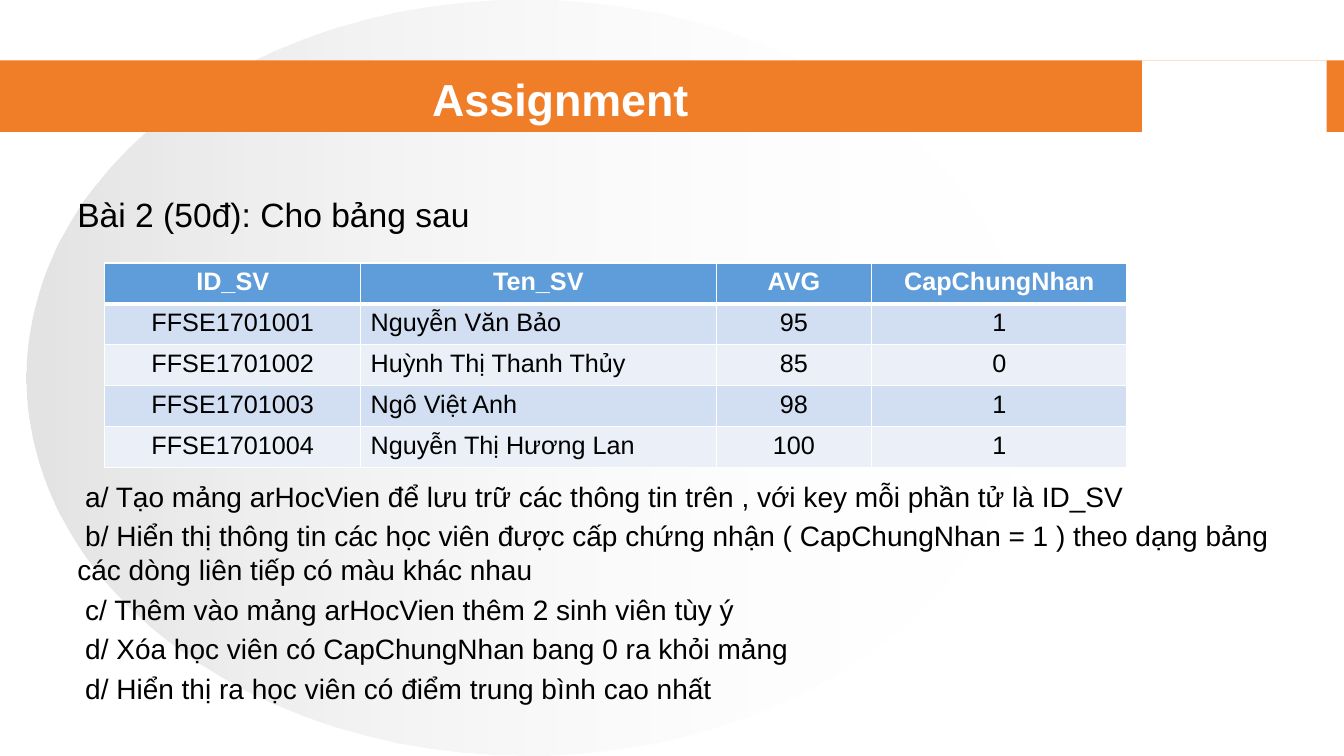
"""Builds the assignment slide with a student table and its tasks."""
from dataclasses import dataclass

from lxml import etree
from pptx import Presentation
from pptx.dml.color import RGBColor
from pptx.enum.shapes import MSO_SHAPE
from pptx.enum.text import MSO_ANCHOR, MSO_AUTO_SIZE, PP_ALIGN
from pptx.oxml.ns import qn
from pptx.util import Pt

CENTER, LEFT = PP_ALIGN.CENTER, PP_ALIGN.LEFT
MIDDLE, NO_FIT = MSO_ANCHOR.MIDDLE, MSO_AUTO_SIZE.NONE
OVAL, RECT = MSO_SHAPE.OVAL, MSO_SHAPE.RECTANGLE


@dataclass(frozen=True)
class Theme:
    """Colours, font and type sizes of the slide."""
    font: str = "Arial"
    white: str = "FFFFFF"
    black: str = "000000"
    grey: str = "C0C0C0"
    orange: str = "F07D27"
    header: str = "5E9CDA"
    bands: tuple = ("D2DEF1", "EAEFF8")
    title: int = 32
    intro: int = 24
    task: int = 20
    cell: int = 18


T = Theme()


def add_run(p, text, size, color, bold=False):
    """Adds one formatted run to a paragraph."""
    r = p.add_run()
    r.text = text
    r.font.name = T.font
    r.font.size = Pt(size)
    r.font.bold = bold
    r.font.color.rgb = RGBColor.from_string(color)


def set_borders(cell, bottom):
    """Draws white cell borders with the given bottom width."""
    tc_pr = cell._tc.get_or_add_tcPr()
    for i, (side, width) in enumerate((("L", 1), ("R", 1), ("T", 1), ("B", bottom))):
        ln = etree.Element(qn(f"a:ln{side}"), w=str(Pt(width)))
        fill = etree.SubElement(ln, qn("a:solidFill"))
        etree.SubElement(fill, qn("a:srgbClr"), val=T.white)
        tc_pr.insert(i, ln)


prs = Presentation()
prs.slide_width, prs.slide_height = Pt(960), Pt(540)
s = prs.slides.add_slide(prs.slide_layouts[5])

disc = s.shapes.add_shape(OVAL, Pt(18.7), Pt(0), Pt(714.2), Pt(540))
disc.shadow.inherit = False
disc.line.fill.background()
disc.fill.gradient()
disc.fill.gradient_angle = 0
for stop, color, position in zip(disc.fill.gradient_stops, (T.grey, T.white), (0, 1)):
    stop.color.rgb = RGBColor.from_string(color)
    stop.position = position
for clr, alpha in zip(disc.element.spPr.iter(qn("a:srgbClr")), (44000, 0)):
    etree.SubElement(clr, qn("a:alpha"), val=str(alpha))

for x, w, color in ((0, 960, T.orange), (815.8, 131.8, T.white)):
    band = s.shapes.add_shape(RECT, Pt(x), Pt(43.2), Pt(w), Pt(51.1))
    band.shadow.inherit = False
    band.fill.solid()
    band.fill.fore_color.rgb = RGBColor.from_string(color)
    band.line.fill.background()

title = s.shapes.title
title.element.getparent().append(title.element)
title.left, title.top, title.width, title.height = Pt(49), Pt(48.2), Pt(702.7), Pt(44.6)
tf = title.text_frame
tf.auto_size = NO_FIT
tf.vertical_anchor = MIDDLE
p = tf.paragraphs[0]
p.alignment = CENTER
add_run(p, "Assignment", T.title, T.white, True)

intro = s.shapes.add_textbox(Pt(48.2), Pt(134.7), Pt(868.3), Pt(36))
intro.text_frame.word_wrap = True
add_run(intro.text_frame.paragraphs[0], "Bài 2 (50đ): Cho bảng sau", T.intro, T.black)

rows = [
    ("ID_SV", "Ten_SV", "AVG", "CapChungNhan"),
    ("FFSE1701001", "Nguyễn Văn Bảo", "95", "1"),
    ("FFSE1701002", "Huỳnh Thị Thanh Thủy", "85", "0"),
    ("FFSE1701003", "Ngô Việt Anh", "98", "1"),
    ("FFSE1701004", "Nguyễn Thị Hương Lan", "100", "1"),
]
widths = (182.7, 254, 111, 182.5)
table = s.shapes.add_table(len(rows), len(widths), Pt(74.9), Pt(187.9),
                           Pt(sum(widths)), Pt(29.2 * len(rows))).table
for col, width in zip(table.columns, widths):
    col.width = Pt(width)
for i, row in enumerate(rows):
    head = i == 0
    table.rows[i].height = Pt(29.2)
    for j, text in enumerate(row):
        cell = table.cell(i, j)
        cell.fill.solid()
        cell.fill.fore_color.rgb = RGBColor.from_string(T.header if head else T.bands[(i - 1) % 2])
        set_borders(cell, 3 if head else 1)
        p = cell.text_frame.paragraphs[0]
        p.alignment = LEFT if j == 1 and not head else CENTER
        add_run(p, text, T.cell, T.white if head else T.black, head)

tasks = [
    "a/ Tạo mảng arHocVien để lưu trữ các thông tin trên , với key mỗi phần tử là ID_SV",
    "b/ Hiển thị thông tin các học viên được cấp chứng nhận ( CapChungNhan = 1 ) "
    "theo dạng bảng các dòng liên tiếp có màu khác nhau",
    "c/ Thêm vào mảng arHocVien thêm 2 sinh viên tùy ý",
    "d/ Xóa học viên có CapChungNhan bang 0 ra khỏi mảng",
    "d/ Hiển thị ra học viên có điểm trung bình cao nhất",
]
tf = s.shapes.add_textbox(Pt(48.2), Pt(338.5), Pt(868.3), Pt(183.5)).text_frame
tf.word_wrap = True
for i, text in enumerate(tasks):
    p = tf.add_paragraph() if i else tf.paragraphs[0]
    p.line_spacing = Pt(24.2)
    p.space_after = Pt(4)
    p._p.get_or_add_pPr().set("indent", str(Pt(5.6)))
    add_run(p, text, T.task, T.black)

prs.save("out.pptx")
